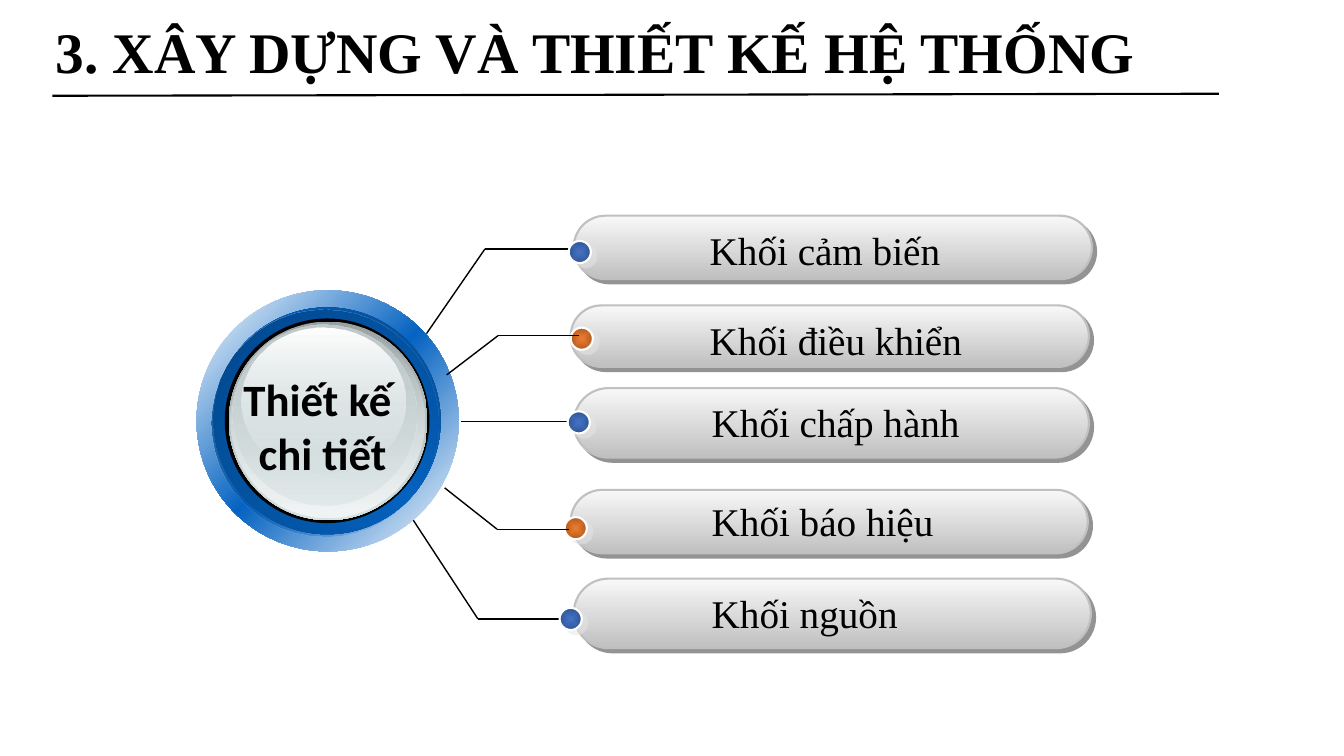
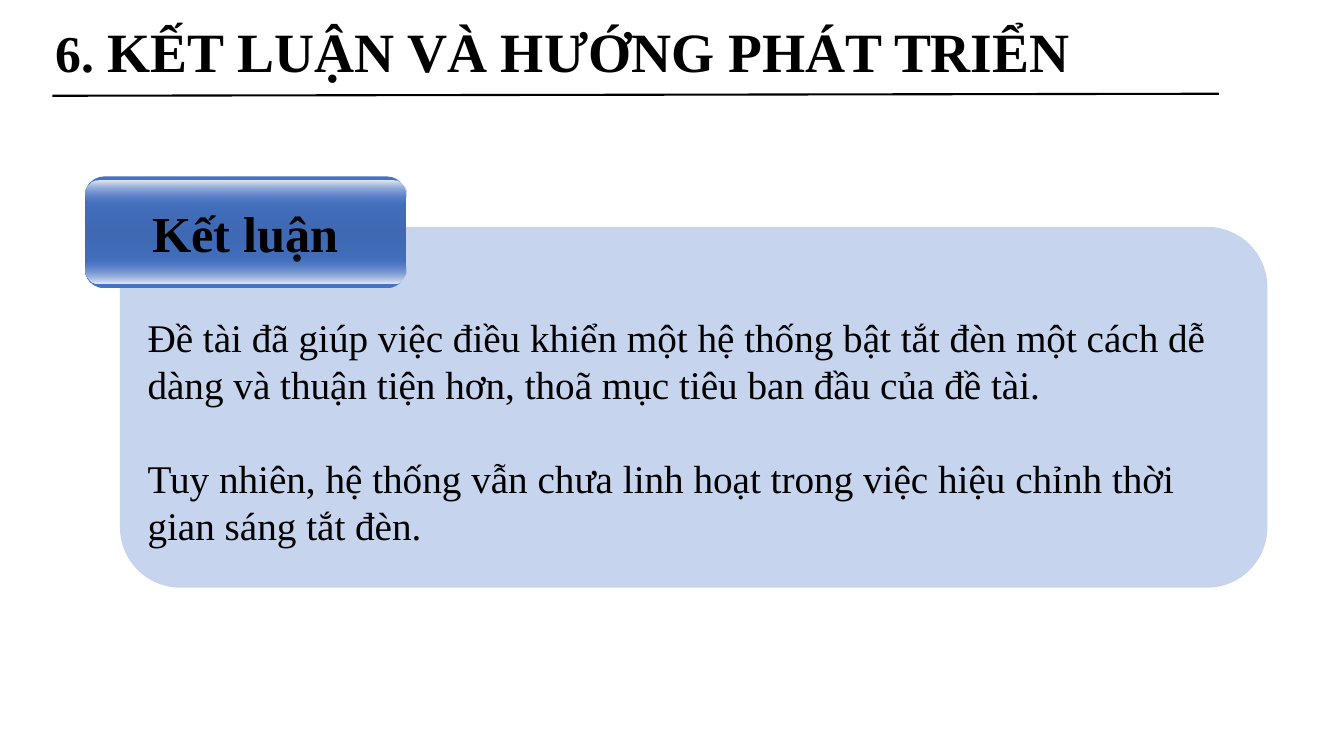
from pptx import Presentation
from pptx.dml.color import RGBColor as Rgb
from pptx.enum.shapes import MSO_CONNECTOR as Conn, MSO_SHAPE as Kind
from pptx.enum.text import MSO_ANCHOR as Anchor, MSO_AUTO_SIZE as Fit, PP_ALIGN as Align
from pptx.oxml import parse_xml
from pptx.oxml.ns import nsdecls, qn
from pptx.util import Inches, Pt

HUE = {
    "ink": "000000", "white": "FFFFFF", "edge": "C0C0C0", "shade": "292929",
    "mist": "E7E6E6", "pale": "F8F8F8", "grey": "C0C0C0",
    "blue": "4472C4", "navy": "2F5597", "mid": "3F69B3",
    "orange": "ED7D31", "rust": "B05A1E",
    "azure": "0563C1", "deep": "044C94", "sea": "034484",
    "steel": "99A1A2", "glass": "D6E1E2", "ice": "F2F5F5", "cloud": "C1CBCC",
    "foot": "E9EBF5", "head": "E6E9F3",
}
SERIF = "Times New Roman"
BODY = {"name": SERIF, "size": Pt(28), "bold": False}
TITLE = {"name": SERIF, "size": Pt(41), "bold": True}
TAG = {"name": SERIF, "size": Pt(36), "bold": True}
HUB = {"name": "Calibri", "size": Pt(32), "bold": True}


def put(item, vals):
    for key, val in vals.items():
        setattr(item, key, val)


def tint(name, alpha=100):
    return (f'<a:srgbClr {nsdecls("a")} val="{HUE[name]}">'
            f'<a:alpha val="{alpha * 1000}"/></a:srgbClr>')


class Deck:
    def __init__(self):
        self.prs = Presentation()
        put(self.prs, {"slide_width": Inches(13.33), "slide_height": Inches(7.5)})
        self.slide = None

    def page(self, runs):
        self.slide = self.prs.slides.add_slide(self.prs.slide_layouts[5])
        box = self.slide.shapes.title
        put(box, {"left": Inches(0.45), "top": Inches(-0.01),
                  "width": Inches(11.35), "height": Inches(1.11)})
        frame = box.text_frame
        put(frame, {"auto_size": Fit.NONE, "word_wrap": True,
                    "vertical_anchor": Anchor.MIDDLE})
        par = frame.paragraphs[0]
        put(par, {"alignment": Align.LEFT, "line_spacing": 0.9})
        for words, size in runs:
            self.run(par, words, {**TITLE, "size": Pt(size)})
        self.line((0.52, 0.95), (12.09, 0.93), 1.5)

    def run(self, par, words, font):
        run = par.add_run()
        run.text = words
        put(run.font, font)
        run.font.color.rgb = Rgb.from_string(HUE["ink"])

    def line(self, start, end, width=1):
        ends = [Inches(n) for n in (*start, *end)]
        line = self.slide.shapes.add_connector(Conn.STRAIGHT, *ends)
        line.line.width = Pt(width)
        line.line.color.rgb = Rgb.from_string(HUE["ink"])
        line._element.spPr.append(parse_xml(f'<a:effectLst {nsdecls("a")}/>'))

    def trace(self, points):
        for start, end in zip(points, points[1:]):
            self.line(start, end)

    def shape(self, kind, at, stops, angle=90, round=None, edge=None, shade=None):
        item = self.slide.shapes.add_shape(kind, *[Inches(n) for n in at])
        if round is not None:
            item.adjustments[0] = round
        self.fill(item, stops, angle)
        if edge:
            item.line.width = Pt(1.5)
            item.line.color.rgb = Rgb.from_string(HUE[edge])
        else:
            item.line.fill.background()
        item.shadow.inherit = False
        if shade:
            self.shade(item, *shade)
        return item

    def fill(self, item, stops, angle):
        item.fill.solid()
        props = item._element.spPr
        old = props.find(qn("a:solidFill"))
        if len(stops) == 1:
            xml = f'<a:solidFill {nsdecls("a")}>{tint(*stops[0])}</a:solidFill>'
        else:
            step = 100000 // (len(stops) - 1)
            marks = "".join(f'<a:gs pos="{i * step}">{tint(*stop)}</a:gs>'
                            for i, stop in enumerate(stops))
            if angle is None:
                way = ('<a:path path="shape"><a:fillToRect l="50000" t="50000" '
                       'r="50000" b="50000"/></a:path>')
            else:
                way = f'<a:lin ang="{angle * 60000}" scaled="0"/>'
            xml = (f'<a:gradFill {nsdecls("a")} rotWithShape="1">'
                   f'<a:gsLst>{marks}</a:gsLst>{way}</a:gradFill>')
        props.replace(old, parse_xml(xml))

    def shade(self, item, hue, dist, angle):
        item._element.spPr.find(qn("a:effectLst")).append(parse_xml(
            f'<a:outerShdw {nsdecls("a")} blurRad="0" dist="{Pt(dist)}" '
            f'dir="{angle * 60000}" algn="ctr" rotWithShape="0">'
            f'{tint(hue, 50)}</a:outerShdw>'))

    def text(self, item, lines, font, align=Align.LEFT, gaps=None, **frame):
        box = item.text_frame
        put(box, {"word_wrap": True, "vertical_anchor": Anchor.MIDDLE, **frame})
        for i, words in enumerate(lines):
            par = box.add_paragraph() if i else box.paragraphs[0]
            gap = (gaps or {}).get(i, 0)
            put(par, {"alignment": align, "space_before": Pt(gap)})
            self.run(par, words, font)

    def label(self, at, lines, font, align=Align.LEFT):
        box = self.slide.shapes.add_textbox(*[Inches(n) for n in at])
        self.text(box, lines, font, align, vertical_anchor=Anchor.TOP)

    def bar(self, at):
        self.shape(Kind.ROUNDED_RECTANGLE, at, [("pale",), ("grey",)], round=0.5,
                   edge="edge", shade=("shade", 4.2, 45))

    def dot(self, left, top, hues):
        self.shape(Kind.OVAL, (left, top, 0.22, 0.22), hues, None,
                   edge="white", shade=("mist", 5, 37))


def design(deck):
    deck.page([("3. XÂY DỰNG VÀ THIẾT KẾ HỆ THỐNG", 41)])
    rows = [
        ("Khối cảm biến", (5.69, 2.14, 5.14, 0.63), (6.94, 2.2), (5.64, 2.39),
         [(4.23, 3.31), (4.81, 2.47), (5.73, 2.47)]),
        ("Khối điều khiển", (5.66, 3.03, 5.14, 0.61), (6.94, 3.09), (5.66, 3.25),
         [(4.43, 3.72), (4.94, 3.33), (5.74, 3.33)]),
        ("Khối chấp hành", (5.69, 3.85, 5.11, 0.69), (6.96, 3.9), (5.63, 4.08),
         [(4.57, 4.18), (5.77, 4.18)]),
        ("Khối báo hiệu", (5.66, 4.86, 5.13, 0.63), (6.96, 4.88), (5.6, 5.13),
         [(4.41, 4.84), (4.93, 5.25), (5.64, 5.25)]),
        ("Khối nguồn", (5.69, 5.74, 5.13, 0.69), (6.96, 5.8), (5.55, 6.03),
         [(4.02, 5.04), (4.74, 6.14), (5.69, 6.14)]),
    ]
    hues = [[("blue",), ("navy",)], [("orange",), ("rust",)]]
    for row in rows[::2]:
        deck.trace(row[4])
    for i, (words, at, start, dot, _) in enumerate(rows):
        deck.bar(at)
        deck.label((*start, 3.15, 0.57), [words], BODY)
        deck.dot(*dot, hues[i % 2])
    rings = [
        ((1.95, 2.88, 2.6, 2.59), [("white",), ("azure",), ("white",)], 45),
        ((2.12, 3.05, 2.25, 2.25), [("deep",), ("azure",), ("deep",)], 315),
        ((2.1, 3.07, 2.25, 2.25), [("sea",), ("azure", 0)], 45),
        ((2.23, 3.16, 2.03, 2.03), [("ink",)], 90),
        ((2.27, 3.19, 1.97, 1.97), [("steel",), ("glass",)], 90),
        ((2.29, 3.21, 1.92, 1.92), [("glass", 0), ("ice",)], 90),
        ((2.31, 3.22, 1.82, 1.79), [("cloud",), ("glass", 48)], 90),
        ((2.4, 3.25, 1.62, 1.46), [("white",), ("glass", 38)], 90),
    ]
    for at, stops, angle in rings:
        deck.shape(Kind.OVAL, at, stops, angle)
    deck.label((2.2, 3.64, 2, 1.18), ["Thiết kế ", "chi tiết"], HUB, Align.CENTER)
    for row in rows[1::2]:
        deck.trace(row[4])


def close(deck):
    deck.page([("6. ", 36.9), ("KẾT LUẬN VÀ HƯỚNG PHÁT TRIỂN", 39.6)])
    panel = deck.shape(Kind.ROUNDED_RECTANGLE, (1.19, 2.25, 11.38, 3.58),
                       [("blue", 30)], round=0.167)
    deck.text(panel, [
        "Đề tài đã giúp việc điều khiển một hệ thống bật tắt đèn một cách dễ",
        "dàng và thuận tiện hơn, thoã mục tiêu ban đầu của đề tài.",
        "Tuy nhiên, hệ thống vẫn chưa linh hoạt trong việc hiệu chỉnh thời",
        "gian sáng tắt đèn.",
    ], BODY, gaps={2: 33.6}, vertical_anchor=Anchor.TOP, margin_top=Inches(0.68))
    tag = deck.shape(Kind.ROUNDED_RECTANGLE, (0.84, 1.75, 3.19, 1.11),
                     [("blue",), ("mid",), ("blue",)], round=0.175)
    deck.text(tag, ["Kết luận"], TAG, Align.CENTER)
    for top, stops in [(2.55, [("blue", 0), ("foot",)]),
                       (1.79, [("head",), ("blue", 0)])]:
        deck.shape(Kind.ROUNDED_RECTANGLE, (0.85, top, 3.18, 0.26), stops, round=0.5)


def main():
    deck = Deck()
    design(deck)
    close(deck)
    deck.prs.save("out.pptx")


if __name__ == "__main__":
    main()
